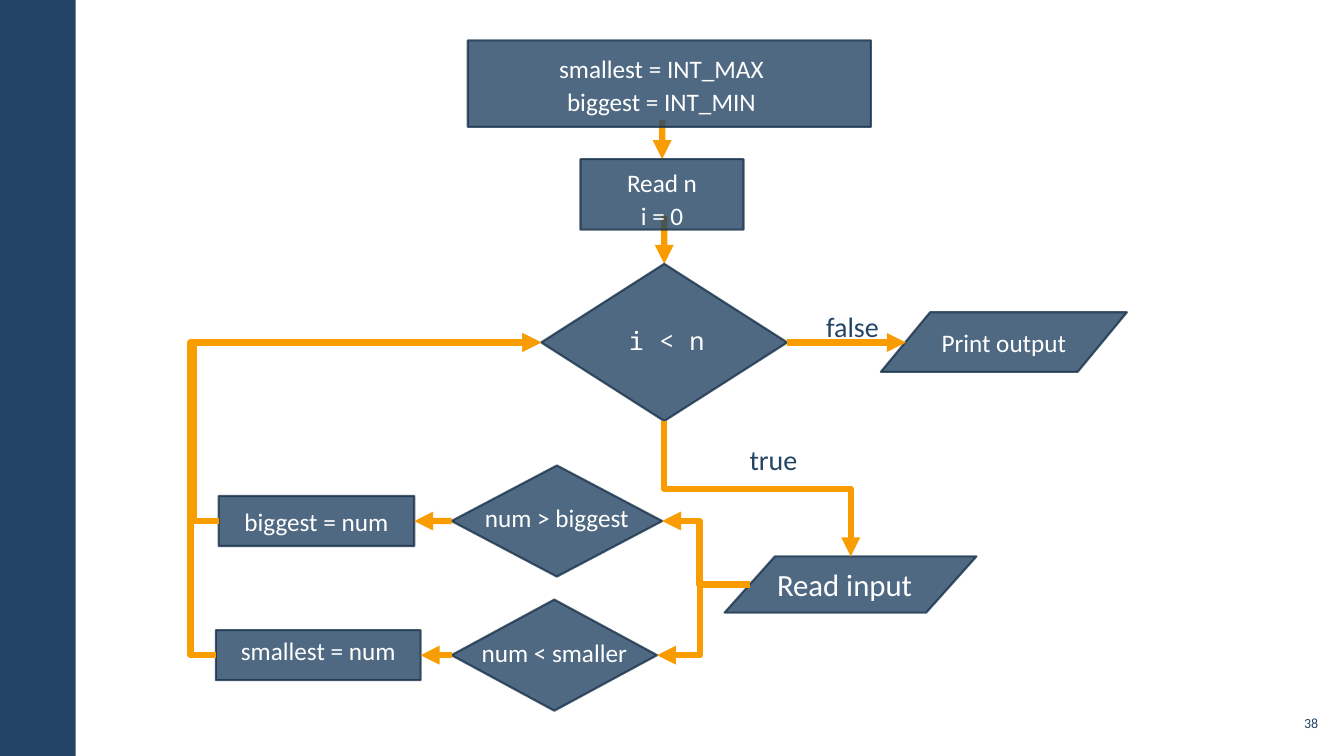
from lxml import etree
from pptx import Presentation
from pptx.dml.color import RGBColor
from pptx.enum.shapes import MSO_CONNECTOR, MSO_SHAPE
from pptx.enum.text import MSO_ANCHOR, PP_ALIGN
from pptx.oxml.ns import qn
from pptx.util import Cm, Pt

NAVY = RGBColor(0x23, 0x44, 0x65)
DARK_NAVY = RGBColor(0x1A, 0x33, 0x4C)
ORANGE = RGBColor(0xF9, 0x9C, 0x00)
WHITE = RGBColor(0xFF, 0xFF, 0xFF)
RECTANGLE = MSO_SHAPE.RECTANGLE
PROCESS = MSO_SHAPE.FLOWCHART_PROCESS
DECISION = MSO_SHAPE.FLOWCHART_DECISION
DATA = MSO_SHAPE.FLOWCHART_DATA
STRAIGHT = MSO_CONNECTOR.STRAIGHT
ELBOW = MSO_CONNECTOR.ELBOW
LEFT, CENTER, RIGHT = PP_ALIGN.LEFT, PP_ALIGN.CENTER, PP_ALIGN.RIGHT
MIDDLE = MSO_ANCHOR.MIDDLE
TOP_SITE, LEFT_SITE, RIGHT_SITE = 0, 1, 3


def write_text(shape, text, size=18, font="Calibri", color=WHITE, align=CENTER,
               spacing=1.0, shift=(0, 0)):
    """Fill a shape with formatted lines, moved off its centre by shift."""
    frame = shape.text_frame
    frame.word_wrap = False
    frame.vertical_anchor = MIDDLE
    across, down = shift
    frame.margin_left = Cm(max(0, 2 * across))
    frame.margin_right = Cm(max(0, -2 * across))
    frame.margin_top = Cm(max(0, 2 * down))
    frame.margin_bottom = Cm(max(0, -2 * down))
    for index, line in enumerate(text.split("\n")):
        paragraph = frame.add_paragraph() if index else frame.paragraphs[0]
        paragraph.alignment = align
        paragraph.line_spacing = spacing
        run = paragraph.add_run()
        run.text = line
        run.font.name = font
        run.font.size = Pt(size)
        run.font.color.rgb = color


def add_step(slide, kind, box, text, **text_format):
    """Add a translucent flowchart step with its text."""
    shape = slide.shapes.add_shape(kind, *map(Cm, box))
    shape.shadow.inherit = False
    shape.fill.solid()
    shape.fill.fore_color.rgb = NAVY
    shape.line.color.rgb = DARK_NAVY
    shape.line.width = Pt(1.5)
    for color in shape._element.spPr.iter(qn("a:srgbClr")):
        etree.SubElement(color, qn("a:alpha"), val="80000")
    write_text(shape, text, **text_format)
    return shape


def add_label(slide, box, text, **text_format):
    """Add a navy text label."""
    label = slide.shapes.add_textbox(*map(Cm, box))
    write_text(label, text, color=NAVY, **text_format)


def add_arrow(slide, start, end, kind=STRAIGHT, bend=None):
    """Add an orange arrow, with its bend as a fraction of the way across."""
    arrow = slide.shapes.add_connector(kind, *map(Cm, start + end))
    arrow.line.color.rgb = ORANGE
    arrow.line.width = Pt(4.5)
    properties = arrow._element.spPr
    etree.SubElement(arrow.line._get_or_add_ln(), qn("a:tailEnd"), type="triangle")
    etree.SubElement(properties, qn("a:effectLst"))
    if bend is not None:
        adjustments = properties.find(qn("a:prstGeom")).get_or_add_avLst()
        etree.SubElement(adjustments, qn("a:gd"), name="adj1",
                         fmla=f"val {round(bend * 100000)}")
    return arrow


def add_side_elbow(slide, start, end, bend_x):
    """Add an arrow that leaves sideways and turns at bend_x."""
    bend = (bend_x - start[0]) / (end[0] - start[0])
    add_arrow(slide, start, end, ELBOW, bend)


def add_down_elbow(slide, start, end):
    """Add an arrow that leaves downwards and turns halfway."""
    center_x, center_y = (start[0] + end[0]) / 2, (start[1] + end[1]) / 2
    half_x, half_y = (end[0] - start[0]) / 2, (end[1] - start[1]) / 2
    arrow = add_arrow(slide, (center_x + half_y, center_y - half_x),
                      (center_x - half_y, center_y + half_x), ELBOW, 0.5)
    arrow._element.spPr.find(qn("a:xfrm")).set("rot", str(270 * 60000))


def draw_setup(slide, box):
    """Draw the two setup steps and return the arrow that leaves them."""
    left, top, width, height = box
    center = left + 4.9
    first_arrow = add_arrow(slide, (center, top + 2), (center, top + 2.99))
    last_arrow = add_arrow(slide, (center + 0.05, top + 4.42),
                           (center + 0.05, top + height))
    add_step(slide, RECTANGLE, (left, top, width, 2.18),
             "smallest = INT_MAX\nbiggest = INT_MIN", spacing=1.1, shift=(-0.2, 0))
    read = add_step(slide, RECTANGLE, (left + 2.84, top + 2.99, 4.11, 1.78),
                    "Read n\ni = 0", spacing=1.1, shift=(0, 0.08))
    first_arrow.end_connect(read, TOP_SITE)
    return last_arrow


def draw_loop_test(slide, box):
    """Draw the loop condition with its way out and return the condition."""
    left, top, width, height = box
    middle = top + height / 2
    test = add_step(slide, DECISION, (left, top, 6.2, height), "i < n",
                    font="Noto Sans Mono", shift=(0.06, -0.05))
    add_step(slide, DATA, (left + width - 6.2, middle - 0.76, 6.2, 1.5), "Print output")
    way_out = add_arrow(slide, (left + 6.2, middle), (left + 9.19, middle))
    way_out.begin_connect(test, RIGHT_SITE)
    add_label(slide, (left + 6.78, top + 0.77, 2.16, 1.5), "false",
              size=20, align=LEFT, spacing=1.1, shift=(0.2, 0))
    return test


def draw_branch(slide, box, check_width, step_width, check_text, step_text, lift):
    """Draw a check on the right that leads to an assignment on the left."""
    left, top, width, height = box
    step_height = 1.26
    check = add_step(slide, DECISION,
                     (left + width - check_width, top, check_width, height),
                     check_text, shift=(0, -0.08))
    step = add_step(slide, PROCESS,
                    (left, top + (height - step_height) / 2, step_width, step_height),
                    step_text, shift=(0, -lift))
    arrow = add_arrow(slide, (left + width - check_width, top + height / 2),
                      (left + step_width, top + height / 2))
    arrow.begin_connect(check, LEFT_SITE)
    arrow.end_connect(step, RIGHT_SITE)


def draw_loop_body(slide, box, loop_entry, loop_exit):
    """Draw the input, both branches and the ways into and back from them."""
    left, top, width, height = box
    input_left, input_top = left + width - 6.35, top + 2.29
    add_step(slide, DATA, (input_left, input_top, 6.35, 1.42), "Read input",
             size=22, shift=(-0.15, 0))
    input_side = (input_left + 0.64, input_top + 0.71)
    branches = (
        (0.07, 0, 5.31, 4.93, "num > biggest", "biggest = num", 0, 17.63, 4.88),
        (0, height - 2.8, 5.18, 5.16, "num < smaller", "smallest = num", 0.12, 17.65, 4.8),
    )
    for indent, drop, check_width, step_width, check, step, lift, turn, back in branches:
        row_left, row_top = left + indent, top + drop
        row_width = 5.94 - indent + check_width
        draw_branch(slide, (row_left, row_top, row_width, 2.8),
                    check_width, step_width, check, step, lift)
        middle = row_top + 1.4
        add_side_elbow(slide, input_side, (row_left + row_width, middle), turn)
        add_side_elbow(slide, (row_left, middle), loop_entry, back)
    add_down_elbow(slide, loop_exit, (input_left + 3.18, input_top))
    add_label(slide, (input_left + 0.23, top - 0.96, 2.03, 1.5), "true",
              size=20, align=LEFT, spacing=1.1, shift=(0.2, 0))


def draw_frame(slide, box):
    """Draw the side bar and the slide number."""
    left, top, width, height = box
    bar = slide.shapes.add_shape(RECTANGLE, *map(Cm, (left, top, 1.91, height)))
    bar.shadow.inherit = False
    bar.fill.solid()
    bar.fill.fore_color.rgb = NAVY
    bar.line.fill.background()
    add_label(slide, (width - 1.74, height - 1.27, 1.19, 0.86), "38",
              size=10, align=RIGHT, shift=(-0.05, 0))


def main():
    """Build the flowchart slide."""
    presentation = Presentation()
    presentation.slide_width, presentation.slide_height = Cm(33.87), Cm(19.05)
    slide = presentation.slides.add_slide(presentation.slide_layouts[6])
    draw_frame(slide, (0, 0, 33.87, 19.05))
    setup_arrow = draw_setup(slide, (11.79, 1.02, 10.16, 5.63))
    test = draw_loop_test(slide, (13.64, 6.65, 14.76, 3.96))
    setup_arrow.end_connect(test, TOP_SITE)
    draw_loop_body(slide, (5.44, 11.73, 19.17, 6.18), (13.64, 8.63), (16.74, 10.61))
    presentation.save("out.pptx")


if __name__ == "__main__":
    main()
